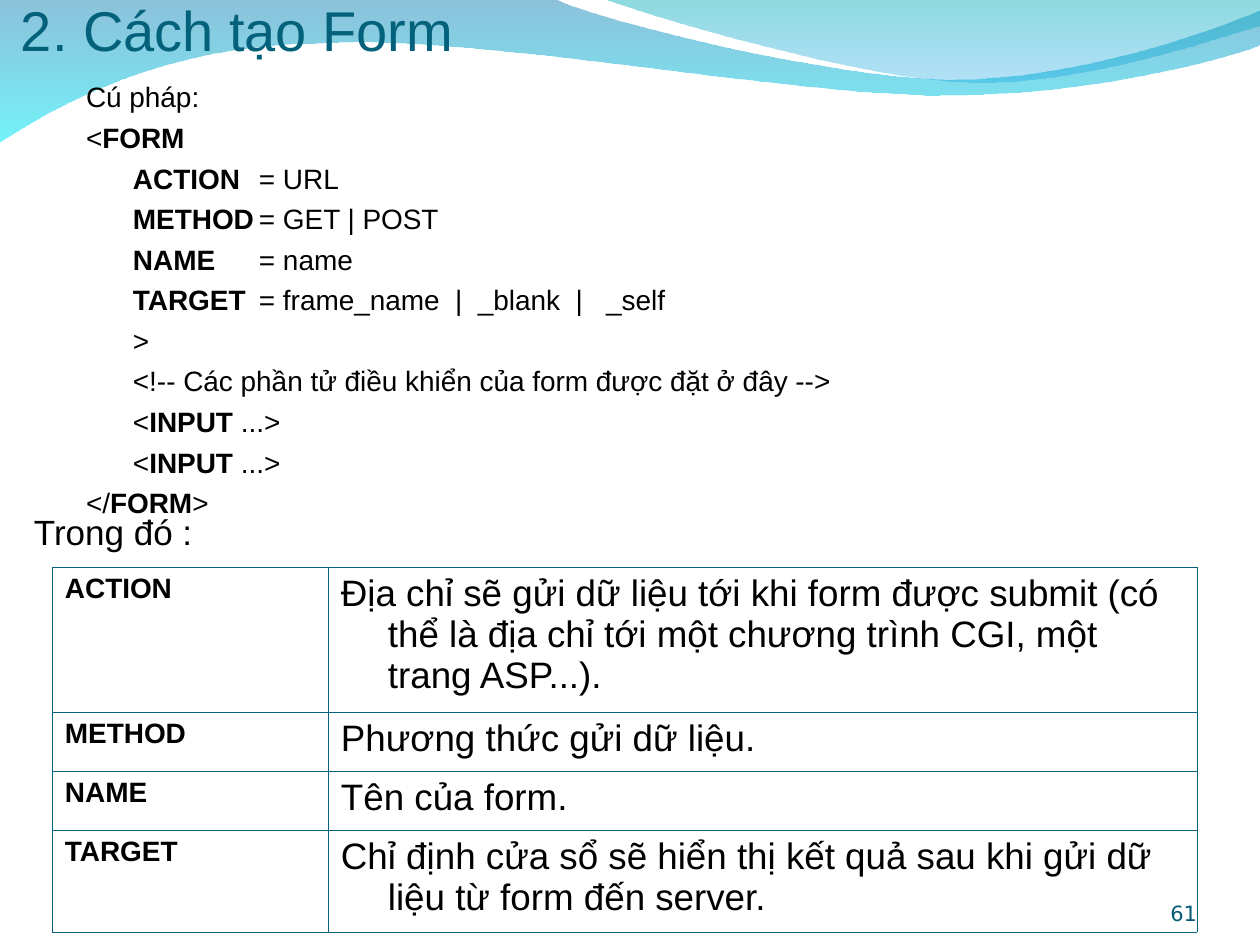
from lxml import etree
from pptx import Presentation
from pptx.dml.color import RGBColor
from pptx.enum.text import MSO_ANCHOR, PP_ALIGN
from pptx.oxml.ns import qn
from pptx.util import Pt

PX = 914400 // 126  # EMU per px
TOP, BOTTOM = MSO_ANCHOR.TOP, MSO_ANCHOR.BOTTOM
LEFT, RIGHT = PP_ALIGN.LEFT, PP_ALIGN.RIGHT

TEAL = RGBColor(0x04, 0x61, 0x7B)
PAGE_TEAL = RGBColor(0x04, 0x5C, 0x75)
BLACK = RGBColor(0, 0, 0)
DEEP_BLUE = RGBColor(0x00, 0x79, 0xAF)
CYAN = RGBColor(0x00, 0xEB, 0xF8)
SEA_GREEN = RGBColor(0x00, 0xAD, 0xB6)
SKY_BLUE = RGBColor(0x00, 0x9B, 0xE5)

SANS, PAGE_FONT = "Arial", "DejaVu Sans"
HANGING = 47
TAB_STEP, TAB_COUNT = 126, 8
PADDING = (13, 6, 13, 6)

# Each wave is a start point followed by lines (1 point) and Bezier curves (3 points)
LOWER_WAVE = [
    [(0, -1)],
    [(554, -1)],
    [(600, 21), (837, 79), (955, 79)],
    [(1075, 79), (1207, 33), (1260, 11)],
    [(1261, 45)],
    [(1238, 55), (1096, 96), (940, 95)],
    [(784, 95), (481, 35), (324, 43)],
    [(163, 44), (58, 105), (-1, 142)],
]
UPPER_WAVE = [
    [(604, -1)],
    [(641, 14), (859, 78), (969, 82)],
    [(1079, 86), (1211, 40), (1260, 26)],
    [(1260, 0)],
]

# Runs are (text, bold)
SYNTAX = [
    [("Cú pháp:", False)],
    [("<", False), ("FORM", True)],
    [("\t", False), ("ACTION\t", True), ("= URL", False)],
    [("\t", False), ("METHOD\t", True), ("= GET | POST", False)],
    [("\t", False), ("NAME \t", True), ("= name", False)],
    [("\t", False), ("TARGET \t", True), ("= frame_name  |  _blank  |   _self", False)],
    [("\t>", False)],
    [("\t<!-- Các phần tử điều khiển của form được đặt ở đây -->", False)],
    *[[("\t<", False), ("INPUT", True), (" ...>", False)]] * 2,
    [("</", False), ("FORM", True), (">", False)],
]

ATTRIBUTES = [
    ("ACTION", "Địa chỉ sẽ gửi dữ liệu tới khi form được submit (có thể là địa chỉ "
               "tới một chương trình CGI, một trang ASP...)."),
    ("METHOD", "Phương thức gửi dữ liệu."),
    ("NAME", "Tên của form."),
    ("TARGET", "Chỉ định cửa sổ sẽ hiển thị kết quả sau khi gửi dữ liệu từ form đến server."),
]
COLUMN_WIDTHS = [276, 869]
ROW_HEIGHTS = [145, 59, 59, 102]


def px(*lengths):
    return [round(length * PX) for length in lengths]


def bend_segments(wave, segments):
    """Join each three-point segment's straight lines into one Bezier curve."""
    lines = iter(list(wave._element.iter(qn("a:lnTo"))))
    for segment in segments:
        controls = [next(lines) for _ in segment]
        if len(controls) == 3:
            curve = etree.Element(qn("a:cubicBezTo"))
            controls[0].addprevious(curve)
            for control in controls:
                curve.append(control[0])
                control.getparent().remove(control)


def add_wave(slide, outline, colors, opacities):
    start, *points = [px(*point) for segment in outline for point in segment]
    builder = slide.shapes.build_freeform(*start)
    builder.add_line_segments(points, close=True)
    wave = builder.convert_to_shape()
    bend_segments(wave, outline[1:])
    wave.shadow.inherit = False
    wave.line.fill.background()
    wave.fill.gradient()
    wave.fill.gradient_angle = 270
    for stop, color in zip(wave.fill.gradient_stops, colors):
        stop.color.rgb = color
    for color_node, opacity in zip(wave._element.iter(qn("a:srgbClr")), opacities):
        etree.SubElement(color_node, qn("a:alpha"), val=str(opacity * 1000))


def write_paragraph(paragraph, runs, size, color=BLACK, font=SANS, hanging=0, align=LEFT):
    properties = paragraph._p.get_or_add_pPr()
    indent, = px(hanging)
    properties.set("marL", str(indent))
    properties.set("indent", str(-indent))
    tabs = etree.SubElement(properties, qn("a:tabLst"))
    for number in range(TAB_COUNT):
        etree.SubElement(tabs, qn("a:tab"), pos=str(number * TAB_STEP * PX), algn="l")
    paragraph.alignment = align
    for text, bold in runs:
        run = paragraph.add_run()
        run.text = text
        run.font.name = font
        run.font.size = Pt(size)
        run.font.bold = bold
        run.font.color.rgb = color


def add_text(slide, box, lines, size, insets=PADDING, anchor=TOP, gap=0, **style):
    frame = slide.shapes.add_textbox(*px(*box)).text_frame
    frame.word_wrap = True
    frame.vertical_anchor = anchor
    (frame.margin_left, frame.margin_top,
     frame.margin_right, frame.margin_bottom) = px(*insets)
    for index, runs in enumerate(lines):
        paragraph = frame.add_paragraph() if index else frame.paragraphs[0]
        write_paragraph(paragraph, runs, size, **style)
        if index:
            paragraph.space_before = Pt(gap)


def border_cell(cell):
    properties = cell._tc.get_or_add_tcPr()
    for position, side in enumerate(("lnL", "lnR", "lnT", "lnB")):
        line = etree.Element(qn(f"a:{side}"), w=str(Pt(0.45)))
        fill = etree.SubElement(line, qn("a:solidFill"))
        etree.SubElement(fill, qn("a:srgbClr"), val=str(TEAL))
        properties.insert(position, line)


def add_attribute_table(slide, left, top):
    frame = slide.shapes.add_table(
        len(ATTRIBUTES), 2, *px(left, top, sum(COLUMN_WIDTHS), sum(ROW_HEIGHTS)))
    table = frame.table
    table.first_row = table.horz_banding = False
    for column, width in zip(table.columns, COLUMN_WIDTHS):
        column.width, = px(width)
    for row, height, (attribute, meaning) in zip(table.rows, ROW_HEIGHTS, ATTRIBUTES):
        row.height, = px(height)
        contents = [(attribute, True, 16), (meaning, False, 21)]
        for cell, (text, bold, size) in zip(row.cells, contents):
            (cell.margin_left, cell.margin_top,
             cell.margin_right, cell.margin_bottom) = px(*PADDING)
            cell.fill.background()
            border_cell(cell)
            write_paragraph(cell.text_frame.paragraphs[0], [(text, bold)], size,
                            hanging=HANGING)


def main():
    deck = Presentation()
    deck.slide_width, deck.slide_height = px(1260, 945)
    slide = deck.slides.add_slide(deck.slide_layouts[6])

    # Header waves
    add_wave(slide, LOWER_WAVE, (DEEP_BLUE, CYAN), (45, 55))
    add_wave(slide, UPPER_WAVE, (SEA_GREEN, SKY_BLUE), (45, 30))

    # Title
    add_text(slide, (21, 10, 1071, 53), [[("2. Cách tạo Form", False)]], 32,
             insets=(0, 6, 0, 0), anchor=BOTTOM, color=TEAL)

    # Attribute table and page number
    add_attribute_table(slide, 52, 567)
    add_text(slide, (1092, 876, 105, 50), [[("61", False)]], 12, insets=(0, 0, 0, 0),
             anchor=BOTTOM, color=PAGE_TEAL, font=PAGE_FONT, align=RIGHT)

    # Form syntax and the lead-in to the table
    add_text(slide, (73, 74, 1029, 452), SYNTAX, 16, gap=4, hanging=HANGING)
    add_text(slide, (21, 504, 1050, 55), [[("Trong đó :", False)]], 20, hanging=HANGING)

    deck.save("out.pptx")


if __name__ == "__main__":
    main()
